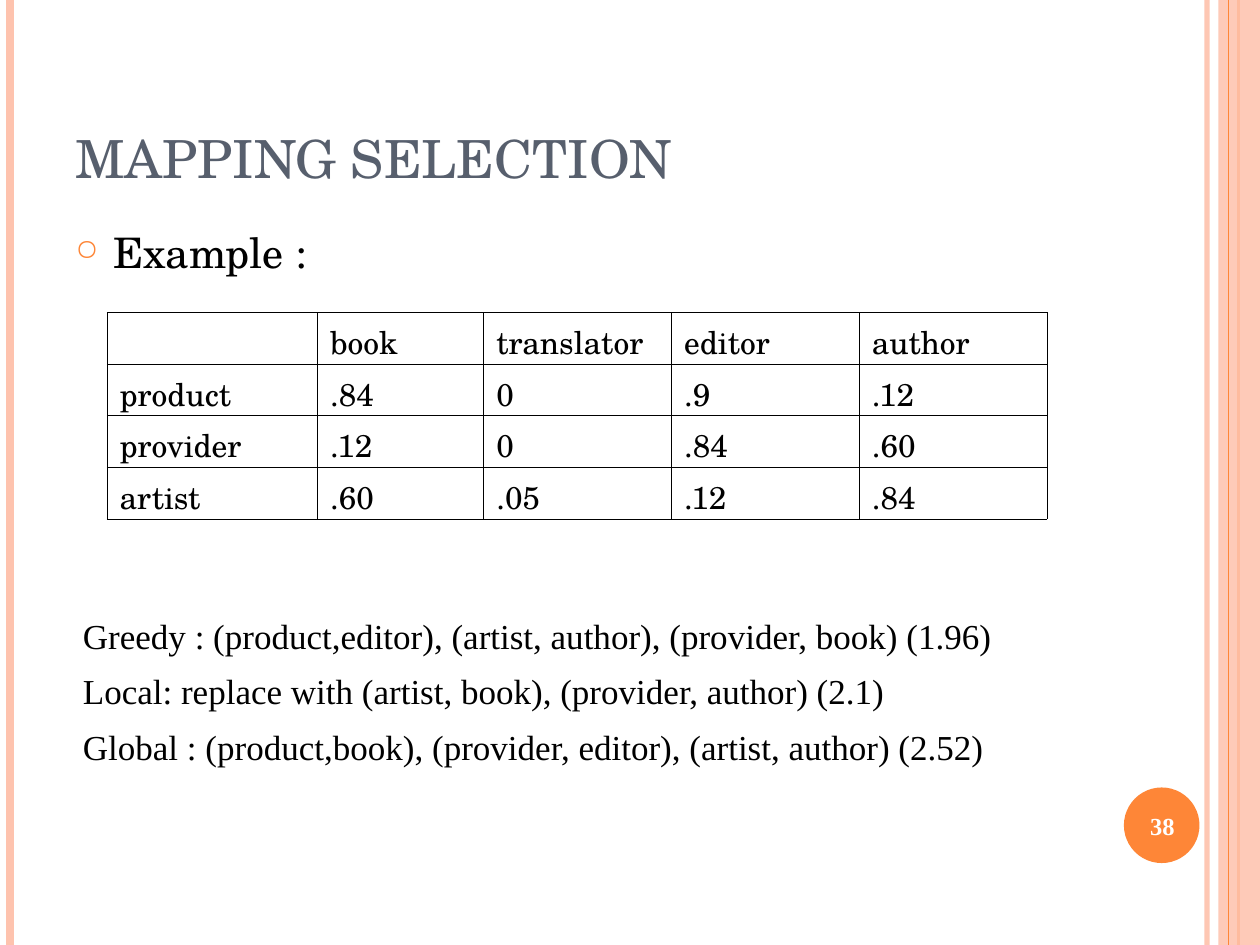
from dataclasses import dataclass, field
from typing import Any

from lxml import etree
from pptx import Presentation
from pptx import util as u
from pptx.dml.color import RGBColor
from pptx.enum import shapes, text
from pptx.oxml.ns import qn


@dataclass(frozen=True)
class Theme:
    accent: str = "FE8637"
    pale: str = "FEC3AE"
    heading: str = "575F6D"
    ink: str = "000000"
    paper: str = "FFFFFF"
    serif: str = "TeX Gyre Schola"
    plain: str = "Times New Roman"
    title_size: float = 30
    bullet_size: float = 24
    result_size: float = 20
    cell_size: float = 18
    number_size: float = 14


THEME = Theme()


@dataclass(frozen=True)
class Rule:
    x: float
    color: str
    width: float
    alpha: int = 100


@dataclass(frozen=True)
class Passage:
    box: tuple[float, float, float, float]
    lines: tuple[str, ...]
    size: float
    font: str
    color: str
    bold: bool = False
    frame: dict[str, Any] = field(default_factory=dict)
    paragraph: dict[str, Any] = field(default_factory=dict)


LEFT_RULES = (
    Rule(9.58, THEME.pale, 3, 93),
    Rule(0.08, THEME.pale, 4.5),
    Rule(9.83, THEME.accent, 1.5),
)
EDGE_RULE = Rule(9.75, THEME.accent, 0.75)

TITLE = Passage((0.5, 0.3, 8.17, 1.25), ("MAPPING SELECTION",),
                THEME.title_size, THEME.serif, THEME.heading,
                frame={"vertical_anchor": text.MSO_ANCHOR.BOTTOM})
EXAMPLE = Passage((0.5, 1.75, 8.17, 5.33), ("Example :",),
                  THEME.bullet_size, THEME.serif, THEME.ink,
                  paragraph={"space_before": u.Pt(6)})
PAGE_NUMBER = Passage((8.89, 6.27, 0.67, 0.57), ("38",),
                      THEME.number_size, THEME.plain, THEME.paper, True,
                      {"vertical_anchor": text.MSO_ANCHOR.MIDDLE},
                      {"alignment": text.PP_ALIGN.CENTER, "space_before": u.Pt(5.2)})
RESULTS = Passage((0.56, 4.83, 8.56, 1.31), (
    "Greedy : (product,editor), (artist, author), (provider, book) (1.96)",
    "Local: replace with (artist, book), (provider, author) (2.1)",
    "Global : (product,book), (provider, editor), (artist, author) (2.52)",
), THEME.result_size, THEME.plain, THEME.ink,
    frame={"auto_size": text.MSO_AUTO_SIZE.SHAPE_TO_FIT_TEXT},
    paragraph={"space_before": u.Pt(7.5)})

SIMILARITIES = (
    ("", "book", "translator", "editor", "author"),
    ("product", ".84", "0", ".9", ".12"),
    ("provider", ".12", "0", ".84", ".60"),
    ("artist", ".60", ".05", ".12", ".84"),
)
COLUMN_WIDTHS = (1.67, 1.32, 1.49, 1.49, 1.49)
ROW_HEIGHT = 0.41


def apply(target: Any, values: dict[str, Any]) -> None:
    for name, value in values.items():
        setattr(target, name, value)


def style_font(font: Any, size: float, face: str, color: str, bold: bool = False) -> None:
    apply(font, {"size": u.Pt(size), "name": face, "bold": bold})
    font.color.rgb = RGBColor.from_string(color)


def set_alpha(properties: Any, percent: int) -> None:
    color = next(properties.iter(qn("a:srgbClr")))
    etree.SubElement(color, qn("a:alpha"), val=str(percent * 1000))


def draw_rule(slide: Any, rule: Rule) -> None:
    x = u.Inches(rule.x)
    stripe = slide.shapes.add_connector(shapes.MSO_CONNECTOR.STRAIGHT, x, 0, x, u.Inches(7.5))
    stripe.line.width = u.Pt(rule.width)
    stripe.line.color.rgb = RGBColor.from_string(rule.color)
    properties = stripe._element.spPr
    if rule.alpha < 100:
        set_alpha(properties, rule.alpha)
    etree.SubElement(properties, qn("a:effectLst"))


def draw_solid(slide: Any, kind: Any, box: tuple[float, float, float, float], color: str) -> Any:
    solid = slide.shapes.add_shape(kind, *map(u.Inches, box))
    solid.shadow.inherit = False
    solid.fill.solid()
    solid.fill.fore_color.rgb = RGBColor.from_string(color)
    solid.line.fill.background()
    return solid


def write(slide: Any, passage: Passage) -> Any:
    frame = slide.shapes.add_textbox(*map(u.Inches, passage.box)).text_frame
    apply(frame, {"word_wrap": True, **passage.frame})
    for index, line in enumerate(passage.lines):
        paragraph = frame.add_paragraph() if index else frame.paragraphs[0]
        apply(paragraph, passage.paragraph)
        run = paragraph.add_run()
        run.text = line
        style_font(run.font, passage.size, passage.font, passage.color, passage.bold)
    return frame


def add_bullet(paragraph: Any) -> None:
    properties = paragraph._p.get_or_add_pPr()
    properties.set("marL", str(u.Inches(0.3)))
    properties.set("indent", str(u.Inches(-0.3)))
    color = etree.SubElement(properties, qn("a:buClr"))
    etree.SubElement(color, qn("a:srgbClr"), val=THEME.accent)
    etree.SubElement(properties, qn("a:buSzPct"), val="70000")
    etree.SubElement(properties, qn("a:buChar"), char="○")


def add_borders(cell: Any) -> None:
    properties = cell._tc.get_or_add_tcPr()
    for index, side in enumerate(("lnL", "lnR", "lnT", "lnB")):
        border = etree.Element(qn(f"a:{side}"), w=str(u.Pt(0.45)))
        fill = etree.SubElement(border, qn("a:solidFill"))
        etree.SubElement(fill, qn("a:srgbClr"), val=THEME.ink)
        properties.insert(index, border)


def draw_similarities(slide: Any) -> None:
    grid = slide.shapes.add_table(
        len(SIMILARITIES), len(COLUMN_WIDTHS), u.Inches(0.85), u.Inches(2.48),
        u.Inches(sum(COLUMN_WIDTHS)), u.Inches(ROW_HEIGHT * len(SIMILARITIES))).table
    apply(grid, {"first_row": False, "horz_banding": False})
    for column, width in zip(grid.columns, COLUMN_WIDTHS):
        column.width = u.Inches(width)
    for r, values in enumerate(SIMILARITIES):
        grid.rows[r].height = u.Inches(ROW_HEIGHT)
        for c, value in enumerate(values):
            cell = grid.cell(r, c)
            cell.text = value
            style_font(cell.text_frame.paragraphs[0].font,
                       THEME.cell_size, THEME.serif, THEME.ink)
            for run in cell.text_frame.paragraphs[0].runs:
                style_font(run.font, THEME.cell_size, THEME.serif, THEME.ink)
            cell.fill.background()
            add_borders(cell)


def main() -> None:
    deck = Presentation()
    apply(deck, {"slide_width": u.Inches(10), "slide_height": u.Inches(7.5)})
    slide = deck.slides.add_slide(deck.slide_layouts[6])
    for rule in LEFT_RULES:
        draw_rule(slide, rule)
    band = draw_solid(slide, shapes.MSO_SHAPE.RECTANGLE, (9.67, 0, 0.33, 7.5), THEME.pale)
    set_alpha(band._element.spPr, 87)
    draw_rule(slide, EDGE_RULE)
    draw_solid(slide, shapes.MSO_SHAPE.OVAL, (8.92, 6.25, 0.6, 0.6), THEME.accent)
    write(slide, TITLE)
    add_bullet(write(slide, EXAMPLE).paragraphs[0])
    write(slide, PAGE_NUMBER)
    write(slide, RESULTS)
    draw_similarities(slide)
    deck.save("out.pptx")


if __name__ == "__main__":
    main()
